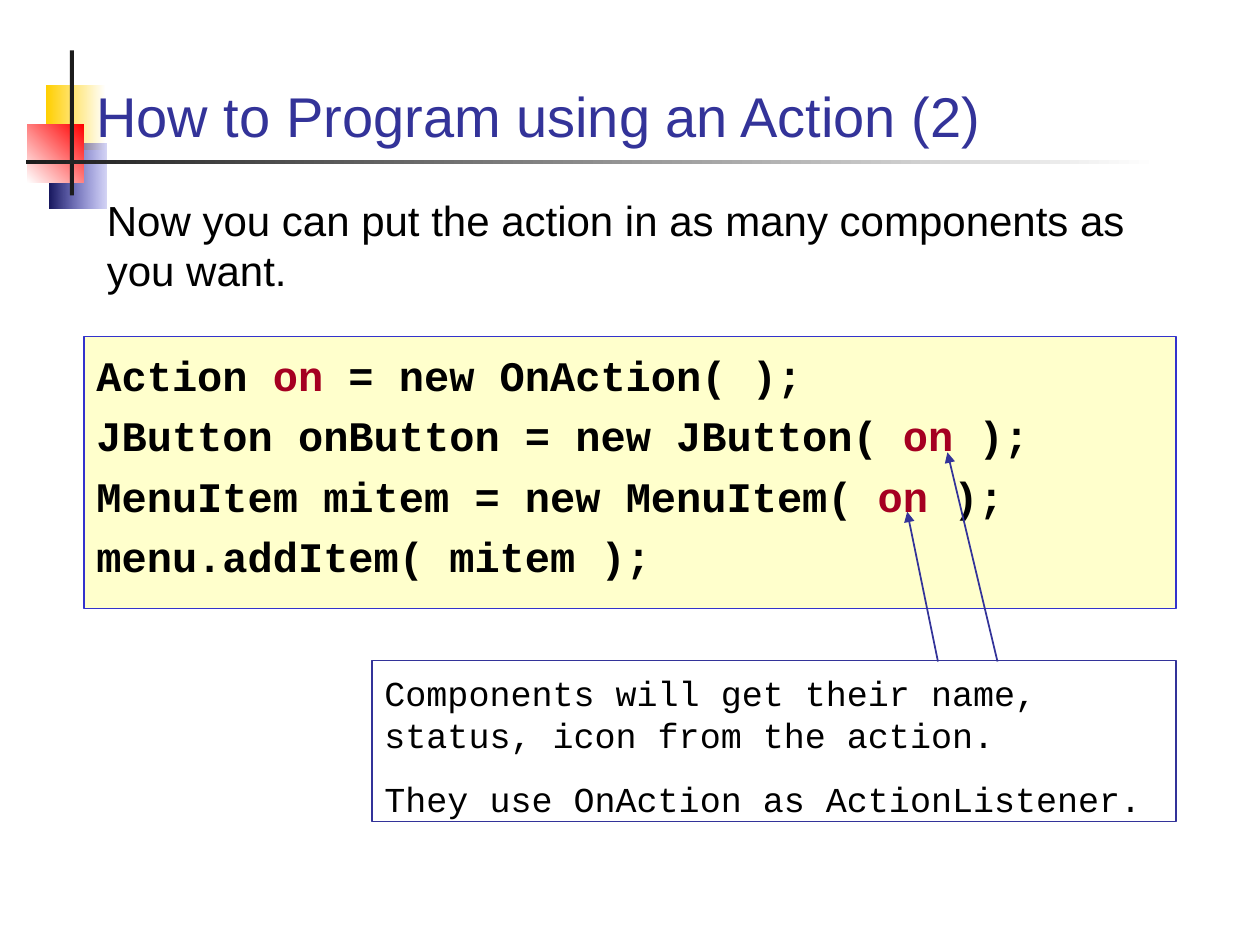
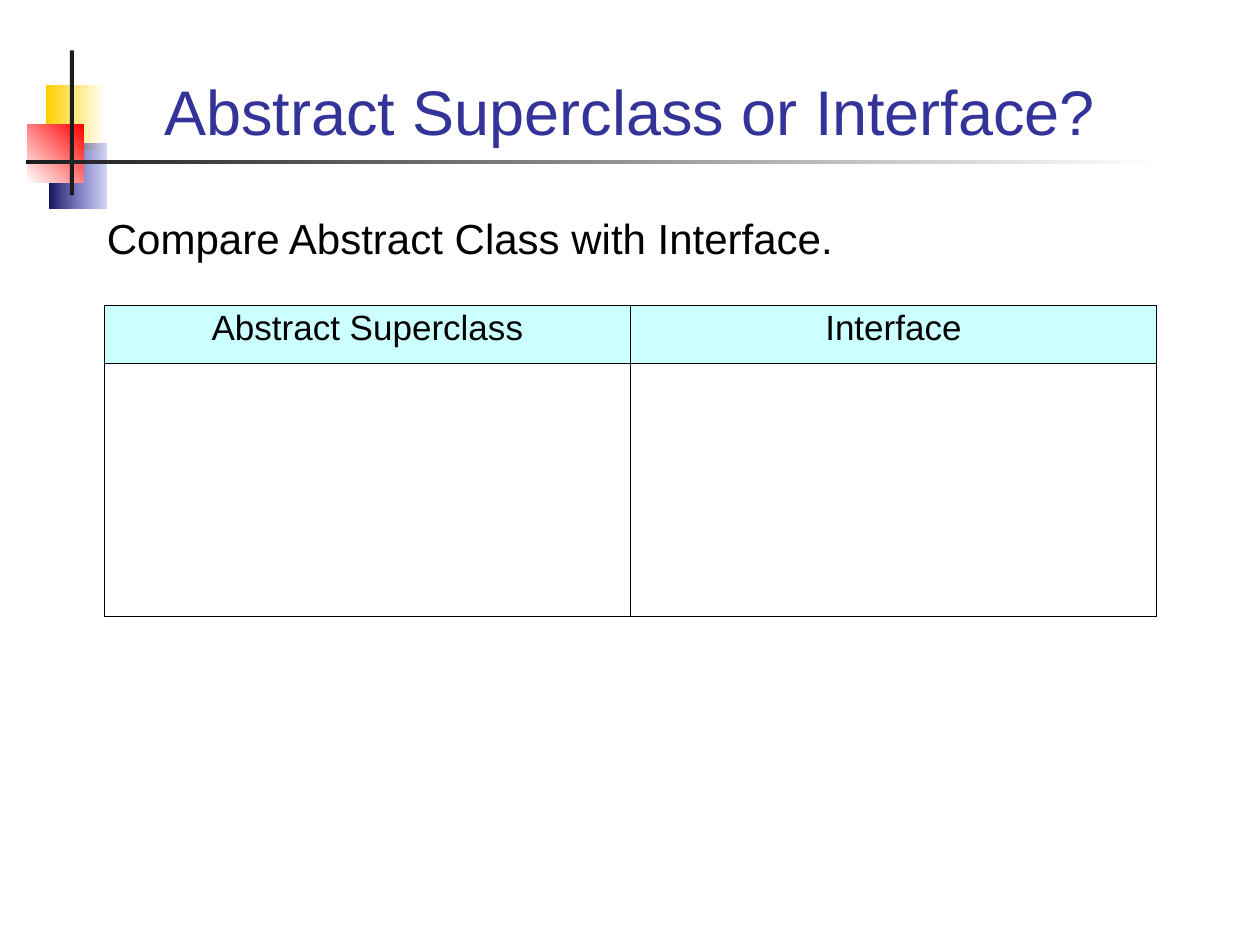
from lxml import etree
from pptx import Presentation
from pptx.dml.color import RGBColor
from pptx.enum import shapes, text
from pptx.oxml import ns
from pptx.util import Pt

BLACK, INK, NAVY, BLUE = "000000", "1C1C1C", "333399", "3333CC"
CRIMSON, CREAM, CYAN, WHITE = "A50021", "FFFFCC", "CCFFFF", "FFFFFF"
SANS, MONO = "Arial", "Courier New"
LEFT, CENTER = text.PP_ALIGN.LEFT, text.PP_ALIGN.CENTER


def rgb(value):
    """Turn a hex string into a colour."""
    return RGBColor.from_string(value)


def points(values):
    """Turn numbers into lengths in points."""
    return [Pt(v) for v in values]


def sub(parent, tag, **attrs):
    """Append a DrawingML element to its parent."""
    return etree.SubElement(parent, ns.qn("a:" + tag), attrs)


def add_rect(s, box, fill=None, line=None):
    """Add a flat rectangle with an optional fill and outline."""
    sp = s.shapes.add_shape(shapes.MSO_SHAPE.RECTANGLE, *points(box))
    sp.shadow.inherit = False
    if fill:
        sp.fill.solid()
        sp.fill.fore_color.rgb = rgb(fill)
    else:
        sp.fill.background()
    if line:
        sp.line.color.rgb = rgb(line)
        sp.line.width = Pt(0.75)
    else:
        sp.line.fill.background()
    return sp


def add_gradient(s, box, start, end, angle=180, alpha=None):
    """Add a rectangle with a two-colour gradient."""
    sp = add_rect(s, box)
    sp.fill.gradient()
    sp.fill.gradient_angle = angle
    for stop, color in zip(sp.fill.gradient_stops, (start, end)):
        stop.color.rgb = rgb(color)
    if alpha:
        first = next(sp.element.spPr.iter(ns.qn("a:srgbClr")))
        sub(first, "alpha", val=str(alpha * 1000))


def write(tf, paragraphs, size, font=SANS, color=BLACK, bold=False, align=LEFT,
          spacing=None, gap=0):
    """Write paragraphs, each a list of strings or (string, colour) pairs."""
    for i, runs in enumerate(paragraphs):
        p = tf.add_paragraph() if i else tf.paragraphs[0]
        layout = {"alignment": align, "line_spacing": spacing,
                  "space_before": Pt(gap if i else 0)}
        for name, value in layout.items():
            setattr(p, name, value)
        for run in runs:
            content, shade = (run, color) if isinstance(run, str) else run
            r = p.add_run()
            r.text = content
            for name, value in {"name": font, "size": Pt(size), "bold": bold}.items():
                setattr(r.font, name, value)
            r.font.color.rgb = rgb(shade)


def set_frame(tf, top=3.6, anchor=text.MSO_ANCHOR.TOP):
    """Set wrapping, margins and anchor of a text frame."""
    frame = {"word_wrap": True, "vertical_anchor": anchor, "margin_left": Pt(7.2),
             "margin_right": Pt(7.2), "margin_top": Pt(top), "margin_bottom": Pt(3.6)}
    for name, value in frame.items():
        setattr(tf, name, value)
    return tf


def add_text(s, box, content, size, top=3.6, anchor=text.MSO_ANCHOR.TOP, **style):
    """Add a text box holding one paragraph."""
    sp = s.shapes.add_textbox(*points(box))
    write(set_frame(sp.text_frame, top, anchor), [[content]], size, **style)


def add_panel(s, box, paragraphs, size, fill, line, top, **style):
    """Add an outlined panel of monospaced text."""
    sp = add_rect(s, box, fill, line)
    write(set_frame(sp.text_frame, top), paragraphs, size, font=MONO, **style)


def add_intro(s, box, content):
    """Add the sentence below the title."""
    add_text(s, box, content, 24, top=5.3, spacing=Pt(28.6))


def add_arrow(s, start, end):
    """Add a thin line with an arrowhead at its end."""
    sp = s.shapes.add_connector(shapes.MSO_CONNECTOR.STRAIGHT, *points(start + end))
    sp.line.color.rgb = rgb(NAVY)
    sp.line.width = Pt(1)
    sub(sp.line._get_or_add_ln(), "tailEnd", type="triangle")
    sub(sp.element.spPr, "effectLst")


def set_borders(cell):
    """Draw a hairline on every side of a cell."""
    tc_pr = cell._tc.get_or_add_tcPr()
    for i, side in enumerate(("lnL", "lnR", "lnT", "lnB")):
        ln = etree.Element(ns.qn("a:" + side), w=str(Pt(0.25)))
        sub(sub(ln, "solidFill"), "srgbClr", val=BLACK)
        tc_pr.insert(i, ln)


def add_comparison(s, box, headers, row_heights):
    """Add a table with a header row and an open row to fill in."""
    table = s.shapes.add_table(len(row_heights), len(headers), *points(box)).table
    table.first_row = table.horz_banding = False
    for row, height in zip(table.rows, row_heights):
        row.height = Pt(height)
    for cell in table.iter_cells():
        cell.fill.background()
        set_borders(cell)
    for i, header in enumerate(headers):
        cell = table.cell(0, i)
        cell.fill.solid()
        cell.fill.fore_color.rgb = rgb(CYAN)
        write(cell.text_frame, [[header]], 20, align=CENTER, spacing=0.93)


def add_slide(prs, title, size, align=LEFT):
    """Add a slide with the shared corner ornament and a title."""
    s = prs.slides.add_slide(prs.slide_layouts[6])
    add_gradient(s, (26.6, 48.4, 33.8, 37.4), WHITE, "FFCF01")
    add_gradient(s, (28, 82, 32.8, 37.4), BLUE, "17175E", alpha=20)
    add_gradient(s, (15.6, 71, 32.4, 33.4), "FF0000", WHITE, angle=225)
    add_rect(s, (40, 28.8, 2.3, 82.8), INK)
    add_gradient(s, (15, 91.4, 647.3, 2.3), WHITE, INK)
    add_text(s, (48, 20, 624, 68.4), title, size, color=NAVY, align=align,
             anchor=text.MSO_ANCHOR.BOTTOM)
    return s


def add_action_slide(prs):
    """Build the slide on sharing an action between components."""
    s = add_slide(prs, "How to Program using an Action (2)", 32)
    on = ("on", CRIMSON)
    code = [["Action ", on, " = new OnAction( );"],
            ["JButton onButton = new JButton( ", on, " );"],
            ["MenuItem mitem = new MenuItem( ", on, " );"],
            ["menu.addItem( mitem );"]]
    add_panel(s, (48, 192.2, 624, 155.5), code, 24, CREAM, BLUE, top=7.5,
              bold=True, spacing=Pt(28.6), gap=6)
    add_intro(s, (54, 106, 618, 64.8),
              "Now you can put the action in as many components as you want.")
    notes = [["Components will get their name, status, icon from the action."],
             ["They use OnAction as ActionListener."]]
    add_panel(s, (212.6, 377.6, 459.4, 92), notes, 20, None, NAVY, top=6,
              spacing=Pt(24), gap=12.5)
    add_arrow(s, (536, 378), (518.4, 292.4))
    add_arrow(s, (570, 378), (541.4, 258.5))


def add_choice_slide(prs):
    """Build the slide comparing abstract classes with interfaces."""
    s = add_slide(prs, "Abstract Superclass or Interface?", 36, CENTER)
    add_intro(s, (54, 116.6, 613, 36), "Compare Abstract Class with Interface.")
    add_comparison(s, (59.7, 174.4, 601.2, 177.8),
                   ["Abstract Superclass", "Interface"], [33.1, 144.7])


def main():
    """Build and save the presentation."""
    prs = Presentation()
    prs.slide_width, prs.slide_height = Pt(720), Pt(540)
    add_action_slide(prs)
    add_choice_slide(prs)
    prs.save("out.pptx")


if __name__ == "__main__":
    main()
